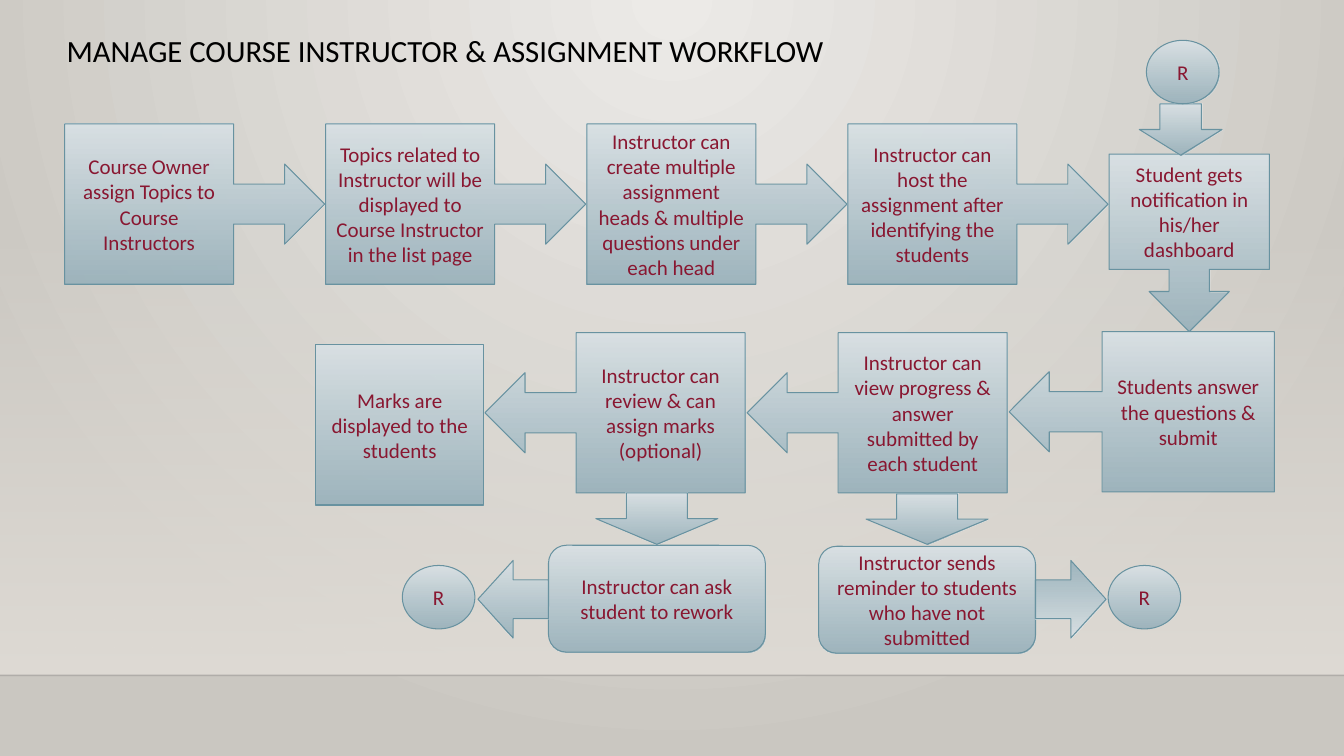
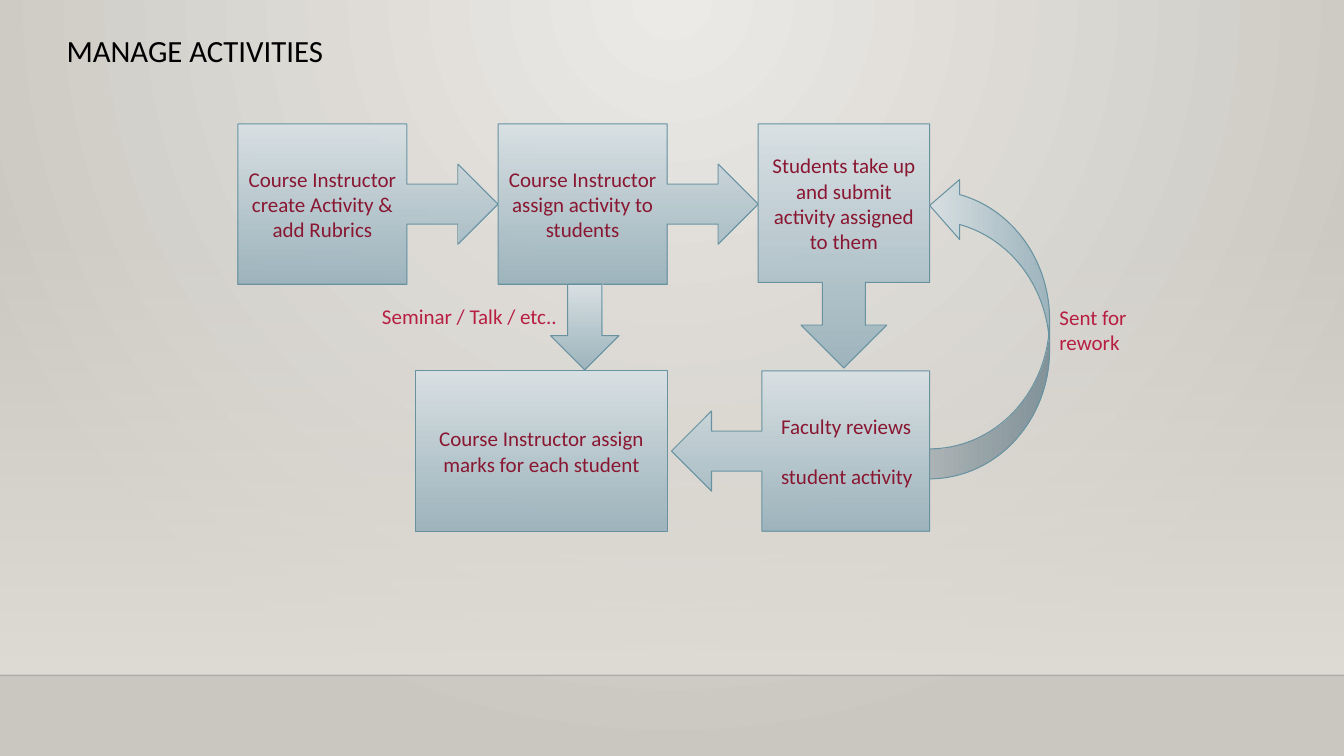
from dataclasses import dataclass
from typing import Any, Optional

from lxml.etree import SubElement
from pptx import Presentation
from pptx.dml.color import RGBColor
from pptx.enum.shapes import MSO_CONNECTOR, MSO_SHAPE
from pptx.enum.text import MSO_ANCHOR, MSO_AUTO_SIZE, PP_ALIGN
from pptx.oxml.ns import qn
from pptx.util import Emu, Pt

EMU_PER_PX = 9144  # 100 px to the inch


def px(length: int) -> Emu:
    return Emu(length * EMU_PER_PX)


# Theme
@dataclass(frozen=True)
class Stop:
    position: int
    color: str
    alpha: int = 100


@dataclass(frozen=True)
class Theme:
    font: str = "Calibri"
    title_size: int = 22
    body_size: int = 15
    title_color: str = "000000"
    node_color: str = "891731"
    label_color: str = "B71E42"
    outline: str = "6892A0"
    outline_width: float = 0.75
    floor_line: str = "000001"
    floor_alpha: int = 20
    paragraph_gap: int = 18
    node_fill: tuple[Stop, ...] = (Stop(0, "D9E1E4"), Stop(100, "9AB2BC", 92))
    wall_fill: tuple[Stop, ...] = (Stop(0, "DFDBD5", 0), Stop(100, "DFDBD5"))
    background: tuple[Stop, ...] = (Stop(0, "ECEAE7"), Stop(100, "CAC7C1"))


THEME = Theme()
PAGE_WIDTH, PAGE_HEIGHT = 1333, 750
WALL_TOP, FLOOR_TOP = 221, 670


# Slide content
@dataclass(frozen=True)
class Node:
    kind: MSO_SHAPE
    left: int
    top: int
    width: int
    height: int
    text: str = ""
    rotation: int = 0
    align: PP_ALIGN = PP_ALIGN.CENTER
    inset: int = 10


@dataclass(frozen=True)
class Label:
    left: int
    top: int
    width: int
    height: int
    text: str


@dataclass(frozen=True)
class Flow:
    title: str
    nodes: list[Node]
    labels: list[Label]


def callout_row(kind: MSO_SHAPE, left: int, top: int, step: int, texts: list[str]) -> list[Node]:
    return [Node(kind, left + i * step, top, 258, 159, text) for i, text in enumerate(texts)]


def return_circle(left: int, top: int) -> Node:
    return Node(MSO_SHAPE.OVAL, left, top, 72, 63, "R")


ASSIGNMENTS = Flow(
    "MANAGE COURSE INSTRUCTOR & ASSIGNMENT WORKFLOW",
    [
        *callout_row(MSO_SHAPE.RIGHT_ARROW_CALLOUT, 64, 123, 259, [
            "Course Owner assign Topics to Course Instructors",
            "Topics related to Instructor will be displayed to Course Instructor in the list page",
            "Instructor can create multiple assignment heads & multiple questions under each head",
            "Instructor can host the assignment after identifying the students",
        ]),
        *callout_row(MSO_SHAPE.LEFT_ARROW_CALLOUT, 481, 330, 260, [
            "Instructor can review & can assign marks (optional)",
            "Instructor can view progress & answer submitted by each student",
        ]),
        Node(MSO_SHAPE.DOWN_ARROW_CALLOUT, 1100, 153, 159, 176,
             "Student gets notification in his/her dashboard"),
        Node(MSO_SHAPE.LEFT_ARROW_CALLOUT, 1001, 329, 263, 159,
             "Students answer the questions & submit"),
        Node(MSO_SHAPE.ROUNDED_RECTANGLE, 812, 542, 215, 106,
             "Instructor sends reminder to students who have not submitted"),
        Node(MSO_SHAPE.ROUNDED_RECTANGLE, 544, 541, 215, 106,
             "Instructor can ask student to rework"),
        Node(MSO_SHAPE.RECTANGLE, 313, 342, 167, 159, "Marks are displayed to the students"),
        Node(MSO_SHAPE.DOWN_ARROW, 859, 490, 121, 50),
        Node(MSO_SHAPE.DOWN_ARROW, 591, 489, 121, 51),
        Node(MSO_SHAPE.DOWN_ARROW, 1130, 103, 82, 51),
        Node(MSO_SHAPE.LEFT_ARROW, 474, 556, 70, 77),
        Node(MSO_SHAPE.LEFT_ARROW, 1027, 556, 70, 77, rotation=180),
        return_circle(399, 561),
        return_circle(1137, 40),
        return_circle(1099, 561),
    ],
    [],
)

ACTIVITIES = Flow(
    "MANAGE ACTIVITIES",
    [
        *callout_row(MSO_SHAPE.RIGHT_ARROW_CALLOUT, 236, 123, 258, [
            "Course Instructor create Activity & add Rubrics",
            "Course Instructor assign activity to students",
        ]),
        Node(MSO_SHAPE.DOWN_ARROW_CALLOUT, 752, 123, 170, 242,
             "Students take up and submit activity assigned to them"),
        Node(MSO_SHAPE.LEFT_ARROW_CALLOUT, 666, 368, 256, 159,
             "Faculty reviews\nstudent activity", align=PP_ALIGN.LEFT, inset=19),
        Node(MSO_SHAPE.RECTANGLE, 412, 368, 250, 159,
             "Course Instructor assign marks for each student"),
        Node(MSO_SHAPE.CURVED_UP_ARROW, 831, 265, 301, 119, rotation=270),
        Node(MSO_SHAPE.DOWN_ARROW, 546, 282, 68, 85),
    ],
    [
        Label(1041, 297, 113, 61, "Sent for rework"),
        Label(369, 296, 203, 35, "Seminar / Talk / etc.."),
    ],
)


# Formatting helpers
def apply_formats(target: Any, formats: dict[str, Any]) -> None:
    for name, value in formats.items():
        setattr(target, name, value)


def set_alpha(color: Any, percent: int) -> None:
    if percent < 100:
        SubElement(color, qn("a:alpha"), val=str(percent * 1000))


def fill_gradient(owner: Any, fill: Any, stops: tuple[Stop, ...],
                  focus: Optional[dict[str, str]] = None) -> None:
    """Fill with a vertical gradient, or a circular one around a focus."""
    fill.background()
    empty = owner.find(qn("a:noFill"))
    gradient = SubElement(owner, qn("a:gradFill"), rotWithShape="1")
    owner.replace(empty, gradient)
    stop_list = SubElement(gradient, qn("a:gsLst"))
    for stop in stops:
        entry = SubElement(stop_list, qn("a:gs"), pos=str(stop.position * 1000))
        set_alpha(SubElement(entry, qn("a:srgbClr"), val=stop.color), stop.alpha)
    if focus:
        circle = SubElement(gradient, qn("a:path"), path="circle")
        SubElement(circle, qn("a:fillToRect"), **focus)
    else:
        SubElement(gradient, qn("a:lin"), ang="5400000", scaled="0")


def write_text(frame: Any, text: str, size: int, color: str, align: PP_ALIGN,
               anchor: MSO_ANCHOR, inset: int = 10) -> None:
    apply_formats(frame, {
        "text": text, "word_wrap": True, "auto_size": MSO_AUTO_SIZE.NONE,
        "vertical_anchor": anchor, "margin_left": px(inset), "margin_right": px(10),
        "margin_top": px(5), "margin_bottom": px(5),
    })
    for para in frame.paragraphs:
        para.alignment = align
        for span in para.runs:
            apply_formats(span.font, {"name": THEME.font, "size": Pt(size)})
            span.font.color.rgb = RGBColor.from_string(color)
    for para in frame.paragraphs[:-1]:
        para.space_after = Pt(THEME.paragraph_gap)


# Drawing
def add_node(page: Any, node: Node) -> None:
    box = page.shapes.add_shape(node.kind, px(node.left), px(node.top),
                                px(node.width), px(node.height))
    box.rotation = node.rotation
    box.shadow.inherit = False
    fill_gradient(box.element.spPr, box.fill, THEME.node_fill)
    box.line.color.rgb = RGBColor.from_string(THEME.outline)
    box.line.width = Pt(THEME.outline_width)
    if node.text:
        write_text(box.text_frame, node.text, THEME.body_size, THEME.node_color,
                   node.align, MSO_ANCHOR.MIDDLE, node.inset)


def add_label(page: Any, label: Label) -> None:
    box = page.shapes.add_textbox(px(label.left), px(label.top), px(label.width), px(label.height))
    write_text(box.text_frame, label.text, THEME.body_size, THEME.label_color,
               PP_ALIGN.LEFT, MSO_ANCHOR.TOP)


def add_page(deck: Any, flow: Flow) -> Any:
    page = deck.slides.add_slide(deck.slide_layouts.get_by_name("Title Only"))
    title = page.shapes.title
    apply_formats(title, {"left": px(56), "top": px(26), "width": px(1060), "height": px(47)})
    write_text(title.text_frame, flow.title, THEME.title_size, THEME.title_color,
               PP_ALIGN.LEFT, MSO_ANCHOR.TOP)
    for node in flow.nodes:
        add_node(page, node)
    for label in flow.labels:
        add_label(page, label)
    return page


def dress_master(deck: Any, page: Any) -> None:
    """Give the master its background, wall band and floor line."""
    master = deck.slide_master
    fill = master.background.fill
    owner = master.element.find(".//" + qn("p:bgPr"))
    fill_gradient(owner, fill, THEME.background,
                  {"l": "43000", "t": "0", "r": "43000", "b": "100000"})

    wall = page.shapes.add_shape(MSO_SHAPE.RECTANGLE, 0, px(WALL_TOP),
                                 px(PAGE_WIDTH), px(FLOOR_TOP - WALL_TOP))
    wall.shadow.inherit = False
    wall.line.fill.background()
    fill_gradient(wall.element.spPr, wall.fill, THEME.wall_fill)

    floor = page.shapes.add_connector(MSO_CONNECTOR.STRAIGHT, 0, px(FLOOR_TOP),
                                      px(PAGE_WIDTH), px(FLOOR_TOP))
    floor.line.color.rgb = RGBColor.from_string(THEME.floor_line)
    floor.line.width = Pt(1)
    floor_properties = floor.element.spPr
    set_alpha(floor_properties.find(".//" + qn("a:srgbClr")), THEME.floor_alpha)
    SubElement(floor_properties, qn("a:effectLst"))

    # Shapes are drawn on a page first, then moved to the back of the master
    for order, part in enumerate((wall, floor)):
        part.element.find(".//" + qn("p:cNvPr")).set("id", str(100 + order))
        master.shapes.element.insert(2 + order, part.element)


def main() -> None:
    deck = Presentation()
    apply_formats(deck, {"slide_width": px(PAGE_WIDTH), "slide_height": px(PAGE_HEIGHT)})
    pages = [add_page(deck, flow) for flow in (ASSIGNMENTS, ACTIVITIES)]
    dress_master(deck, pages[0])
    deck.save("out.pptx")


if __name__ == "__main__":
    main()
